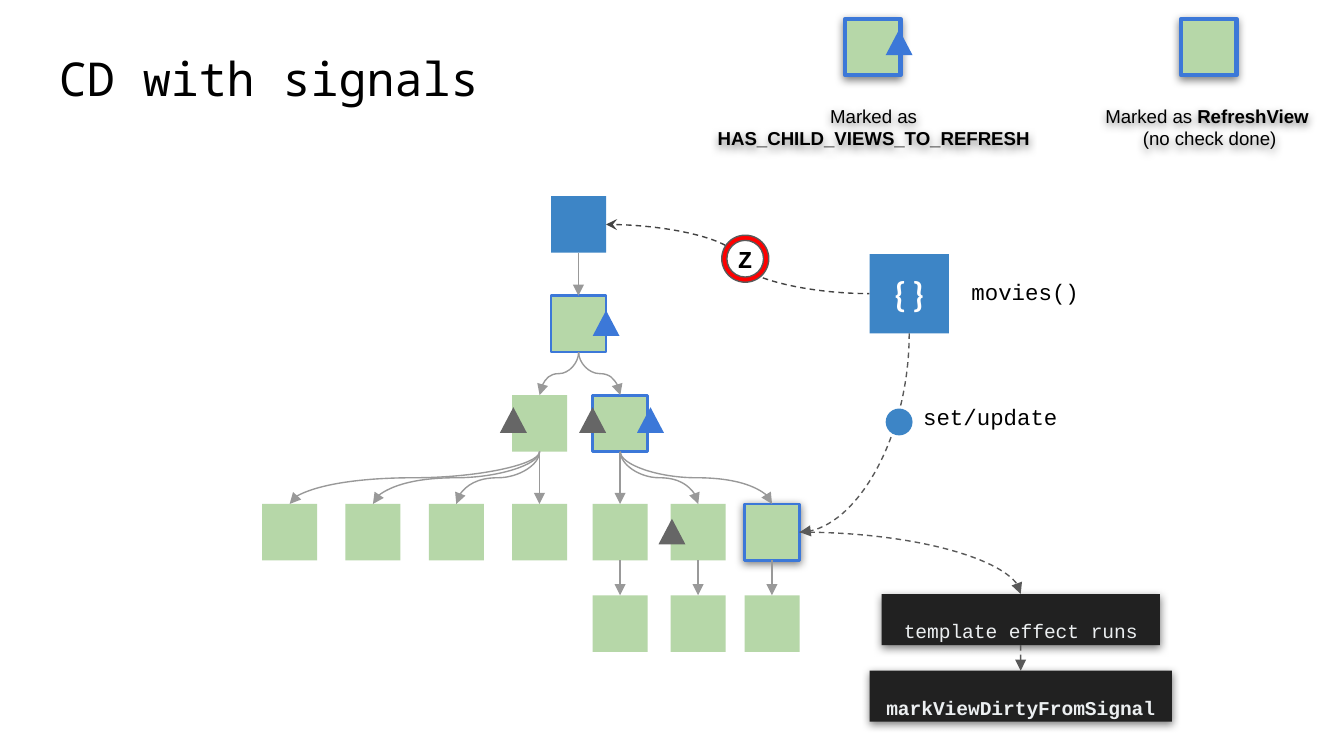
import pptx
import pptx.util
import pptx.dml.color
import pptx.enum.dml
import pptx.enum.shapes
import pptx.enum.text
import pptx.oxml
import pptx.oxml.ns

Inches, Pt = pptx.util.Inches, pptx.util.Pt
Kind = pptx.enum.shapes.MSO_SHAPE
Align = pptx.enum.text.PP_ALIGN
Anchor = pptx.enum.text.MSO_ANCHOR
qn = pptx.oxml.ns.qn

THEME = {
    "view": "B6D7A8", "mark": "3C78D8", "blue": "3D85C6", "grey": "666666",
    "edge": "999999", "dash": "595959", "pull": "434343", "dark": "212121",
    "pale": "ECEFF1", "ink": "000000", "white": "FFFFFF", "red": "FF0000",
    "mono": "Courier New", "sans": "Arial", "head": "Noto Sans Mono", "icon": "Lato",
    "title": 25, "brace": 18, "sleep": 13, "label": 12, "code": 10.5, "note": 10,
}

# Tree grid: left edges of the columns, top edges of the rows
COLS = [1.95 + 0.62 * i for i in range(4)] + [4.41, 4.99, 5.54]
ROWS = [1.46, 2.2, 2.94, 3.75, 4.43]
MID = 4.1
SIDE = (0.41, 0.42)
TIP = (0.2, 0.19)

# name: (left, row, marked, shadow)
VIEWS = {
    "root": (MID, 0, False, False),
    "app": (MID, 1, True, False),
    "left": (COLS[3], 2, False, False),
    "right": (COLS[4], 2, True, False),
}
VIEWS.update({f"leaf{i}": (x, 3, i == 6, i == 6) for i, x in enumerate(COLS)})
VIEWS.update({f"sub{i}": (COLS[i], 4, False, False) for i in (4, 5, 6)})

TREE = [("root", "app"), ("app", "left"), ("app", "right")]
TREE += [("left", f"leaf{i}") for i in range(4)]
TREE += [("right", f"leaf{i}") for i in (4, 5, 6)]
TREE += [(f"leaf{i}", f"sub{i}") for i in (4, 5, 6)]

# Sides: 0 top, 1 left, 2 bottom, 3 right
FLOW = [
    ("signal", 2, "leaf6", 3, "dash", "tailEnd", "triangle"),
    ("effect", 2, "dirty", 0, "dash", "tailEnd", "triangle"),
    ("leaf6", 3, "effect", 0, "dash", "tailEnd", "triangle"),
    ("root", 3, "signal", 1, "pull", "headEnd", "stealth"),
]

TIPS = [
    (3.72, 3.03, "grey"), (4.31, 3.03, "grey"), (4.9, 3.86, "grey"),
    (4.74, 3.03, "mark"), (4.41, 2.31, "mark"), (6.59, 0.22, "mark"),
]
KEYS = [(6.29, 0.14), (8.79, 0.14)]
# left, lines of (text, bold) runs
NOTES = [
    (5.23, [[("Marked as ", False), ("HAS_CHILD_VIEWS_TO_REFRESH", True)]]),
    (7.73, [[("Marked as ", False), ("RefreshView ", True)],
            [("(no check done)", False)]]),
]
LABELS = [("movies()", (7.13, 1.97, 2.04, 0.4)), ("set/update", (6.77, 2.9, 1.55, 0.4))]
CALLS = [
    ("effect", "template effect runs", (6.56, 4.42, 2.07, 0.38), False),
    ("dirty", "markViewDirtyFromSignal", (6.47, 4.99, 2.25, 0.38), True),
]

deck = pptx.Presentation()
deck.slide_width = Inches(10)
deck.slide_height = deck.slide_width * 9 // 16
slide = deck.slides.add_slide(deck.slide_layouts[6])
nodes = {}


def tint(name):
    return pptx.dml.color.RGBColor.from_string(THEME[name])


def shade(shape):
    """Give the shape a soft shadow straight below it."""
    shape.shadow.inherit = False
    ns = pptx.oxml.ns.nsdecls("a")
    shape.element.spPr.find(qn("a:effectLst")).append(pptx.oxml.parse_xml(
        f'<a:outerShdw {ns} blurRad="57150" dist="19050" dir="5400000" algn="bl" '
        'rotWithShape="0"><a:srgbClr val="000000"><a:alpha val="50000"/>'
        '</a:srgbClr></a:outerShdw>'))


def draw(kind, box, fill, line=None, width=1.5, shadow=False):
    shape = slide.shapes.add_shape(kind, *map(Inches, box))
    shape.shadow.inherit = False
    shape.fill.solid()
    shape.fill.fore_color.rgb = tint(fill)
    if line:
        shape.line.color.rgb = tint(line)
        shape.line.width = Pt(width)
    else:
        shape.line.fill.background()
    if shadow:
        shade(shape)
    return shape


def write(shape, lines, face, size, color="ink", bold=None, align=Align.LEFT,
          anchor=Anchor.TOP, inset=0.1, grow=False):
    """Fill a shape with one paragraph; lines hold (text, bold) runs."""
    frame = shape.text_frame
    frame.word_wrap = True
    frame.vertical_anchor = anchor
    frame.margin_left = frame.margin_right = Inches(inset)
    frame.margin_top = frame.margin_bottom = Inches(inset)
    if grow:
        frame.auto_size = pptx.enum.text.MSO_AUTO_SIZE.SHAPE_TO_FIT_TEXT
    para = frame.paragraphs[0]
    para.alignment = align
    for row, line in enumerate(lines):
        if row:
            para.add_line_break()
        for text, heavy in line:
            run = para.add_run()
            run.text = text
            if bold is None:
                run.font.bold = heavy
    font = para.font
    font.name, font.size, font.bold = THEME[face], Pt(THEME[size]), bold
    font.color.rgb = tint(color)
    return para


def label(box, lines, face, size, **style):
    shape = slide.shapes.add_textbox(*map(Inches, box))
    write(shape, lines, face, size, **style)
    return shape


def port(shape, side):
    """Middle of one side of a shape."""
    dx, dy = ((1, 0), (0, 1), (1, 2), (2, 1))[side]
    return shape.left + shape.width * dx // 2, shape.top + shape.height * dy // 2


def link(start, out, end, into, color, tip="tailEnd", style="triangle", dash=True):
    """Join two nodes with a curve that leaves and enters square to their sides."""
    a, b = nodes[start], nodes[end]
    (x, y), (u, v) = port(a, out), port(b, into)
    wire = slide.shapes.add_connector(
        pptx.enum.shapes.MSO_CONNECTOR.CURVE, x, y, u, v)
    wire.begin_connect(a, out)
    wire.end_connect(b, into)
    wide, high = abs(u - x), abs(v - y)
    props = wire.element.spPr
    form = props.find(qn("a:xfrm"))
    for key in ("flipH", "flipV"):
        form.attrib.pop(key, None)
    if out == 2:
        wide, high = high, wide
        form.set("rot", str((270 if u >= x else 90) * 60000))
        if u >= x:
            form.set("flipH", "1")
    wire.left, wire.top = (x + u - wide) // 2, (y + v - high) // 2
    wire.width, wire.height = wide, high
    if (out - into) % 2:
        props.find(qn("a:prstGeom")).set("prst", "curvedConnector2")
    wire.line.color.rgb = tint(color)
    wire.line.width = Pt(0.75)
    if dash:
        wire.line.dash_style = pptx.enum.dml.MSO_LINE.DASH
    ns = pptx.oxml.ns.nsdecls("a")
    props.find(qn("a:ln")).append(pptx.oxml.parse_xml(f'<a:{tip} {ns} type="{style}"/>'))
    props.append(pptx.oxml.parse_xml(f"<a:effectLst {ns}/>"))


label((0.34, 0.27, 6.31, 0.58), [[("CD with signals", False)]], "head", "title")

for name, (left, row, mark, shadow) in VIEWS.items():
    nodes[name] = draw(Kind.RECTANGLE, (left, ROWS[row], *SIDE),
                       "blue" if name == "root" else "view",
                       "mark" if mark else None, shadow=shadow)
for spot in KEYS:
    draw(Kind.RECTANGLE, (*spot, *SIDE), "view", "mark", 2.25, True)

nodes["signal"] = draw(Kind.RECTANGLE, (6.47, 1.89, 0.59, 0.59), "blue")
write(nodes["signal"], [[("{ }", True)]], "icon", "brace", color="white", bold=True,
      align=Align.CENTER, anchor=Anchor.MIDDLE)
for name, text, box, bold in CALLS:
    nodes[name] = draw(Kind.RECTANGLE, box, "dark", shadow=True)
    write(nodes[name], [[(text, bold)]], "mono", "code", color="pale", bold=bold,
          align=Align.CENTER, grow=True).line_spacing = 1.5

for start, end in TREE:
    link(start, 2, end, 0, "edge", dash=False)
for flow in FLOW:
    link(*flow)

for left, top, color in TIPS:
    draw(Kind.ISOSCELES_TRIANGLE, (left, top, *TIP), color)
draw(Kind.OVAL, (6.59, 3.04, 0.2, 0.2), "blue")

RING = (5.37, 1.75, 0.35, 0.35)
draw(Kind.OVAL, RING, "white")
ring = draw(Kind.DONUT, RING, "red", "dash", 0.75)
ring.adjustments[0] = 0.11
write(ring, [[("Z", True)]], "mono", "sleep", bold=True, align=Align.CENTER,
      anchor=Anchor.MIDDLE, inset=0)

for text, box in LABELS:
    label(box, [[(text, False)]], "mono", "label", bold=False, grow=True)
for left, lines in NOTES:
    shade(label((left, 0.68, 2.54, 0.54), lines, "sans", "note",
                align=Align.CENTER, grow=True))

deck.save("out.pptx")
